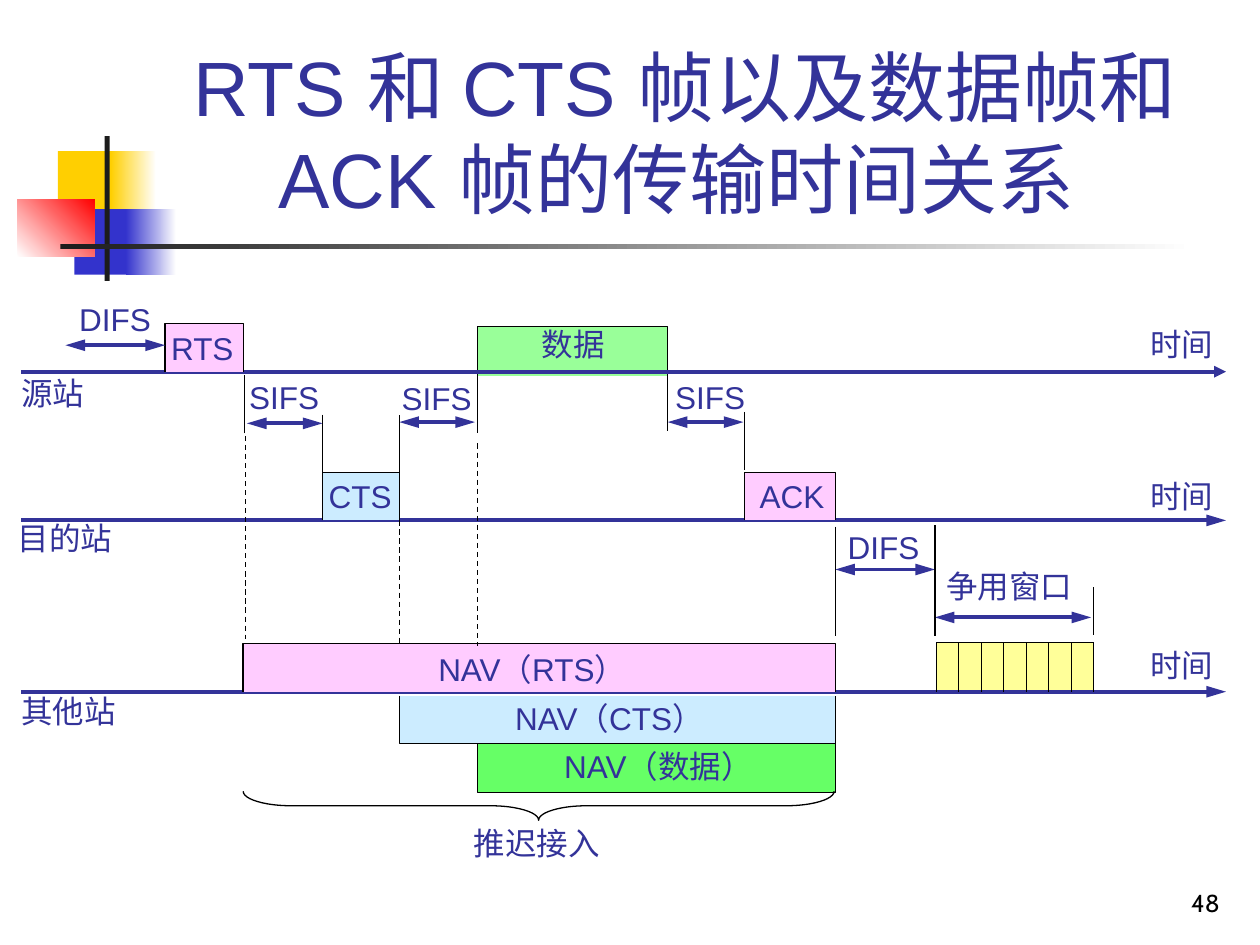
"""Build the slide on RTS, CTS, data and ACK frame timing."""
from pptx import Presentation
from pptx.dml.color import RGBColor
from pptx.enum.dml import MSO_LINE
from pptx.enum.shapes import MSO_CONNECTOR, MSO_SHAPE
from pptx.enum.text import MSO_ANCHOR, MSO_AUTO_SIZE, PP_ALIGN
from pptx.oxml.ns import qn
from pptx.util import Pt
from lxml.etree import SubElement

PX = 9144
THEME = {
    "ink": "333399", "black": "000000", "white": "FFFFFF", "dark": "1C1C1C",
    "gold": "FFCF01", "blue": "3333CC", "red": "FF0000", "pink": "FFCCFF",
    "sky": "CCECFF", "mint": "99FF99", "green": "66FF66", "yellow": "FFFF99",
    "font": "Arial", "number_font": "Cabin",
    "title": 44, "label": 18, "number": 14, "thin": 0.75, "thick": 2.25,
}
LEFT, CENTER, RIGHT = PP_ALIGN.LEFT, PP_ALIGN.CENTER, PP_ALIGN.RIGHT

TITLE = "RTS 和 CTS 帧以及数据帧和ACK 帧的传输时间关系 "
DECOR = [
    (46, 120, 48, 52, ["gold"], 0),
    (88, 120, 36, 52, ["gold", "white"], 0),
    (59, 166, 46, 52, ["blue"], 0),
    (100, 166, 40, 52, ["blue", "white"], 0),
    (14, 158, 61, 46, ["white", "red"], 45),
    (83, 108, 4, 115, ["dark"], 0),
    (48, 194, 900, 4, ["dark", "white"], 0),
]
AXES = [(295, "med"), (413, "lg"), (549, "lg")]
BACK_FRAMES = [
    (379, 590, 663, 629, "green"),
    (379, 298, 530, 259, "mint"),
]
FRAMES = [
    (131, 295, 193, 257, "pink"),
    (256, 413, 317, 375, "sky"),
    (591, 413, 663, 375, "pink"),
    (193, 549, 663, 511, "pink"),
    (317, 552, 663, 590, "sky"),
]
SPANS = [
    (52, 274, 131, 274), (196, 336, 256, 336), (317, 335, 377, 335),
    (530, 335, 590, 335), (663, 452, 742, 452), (742, 490, 866, 490),
]
GUIDES = [
    (194, 344, 194, 298), (256, 329, 256, 375), (317, 375, 317, 329),
    (379, 298, 379, 344), (530, 342, 530, 297), (591, 327, 591, 373),
    (663, 418, 663, 505), (742, 417, 742, 505), (868, 466, 868, 504),
]
DASHES = [(195, 346, 195, 507), (317, 413, 317, 513), (379, 352, 379, 513)]
WINDOW = (743, 510, 125, 39)
SLOTS = 7
BRACE = (416, 405, 23, 469)
LABELS = {
    LEFT: [
        ("时间", 903, 253, 72), ("时间", 903, 374, 72), ("时间", 903, 508, 72),
        ("DIFS", 53, 233, 80), ("RTS", 126, 256, 74), ("SIFS", 188, 295, 80),
        ("SIFS", 309, 296, 80), ("SIFS", 526, 295, 80), ("CTS", 251, 374, 74),
        ("DIFS", 663, 414, 80), ("争用窗口", 741, 445, 122),
        ("NAV（RTS）", 338, 511, 192), ("NAV（CTS）", 399, 550, 192),
        ("NAV（数据）", 438, 588, 180), ("推迟接入", 366, 649, 122),
    ],
    CENTER: [
        ("数据", 419, 253, 72), ("ACK", 589, 374, 79), ("源站", 6, 292, 72),
        ("目的站", 4, 407, 95), ("其他站", 4, 544, 101),
    ],
}


def color(name):
    return RGBColor.from_string(THEME[name])


def scaled(*values):
    return [round(value * PX) for value in values]


def apply(target, values):
    for name, value in values.items():
        setattr(target, name, value)


def outline(shape):
    shape.shadow.inherit = False
    shape.line.color.rgb = color("black")
    shape.line.width = Pt(THEME["thin"])


def add_block(page, x, y, width, height, fills, angle=0):
    block = page.shapes.add_shape(MSO_SHAPE.RECTANGLE, *scaled(x, y, width, height))
    block.shadow.inherit = False
    block.line.fill.background()
    if len(fills) == 1:
        block.fill.solid()
        block.fill.fore_color.rgb = color(fills[0])
        return
    block.fill.gradient()
    block.fill.gradient_angle = angle
    for place, (stop, name) in enumerate(zip(block.fill.gradient_stops, fills)):
        stop.position = place
        stop.color.rgb = color(name)


def add_path(page, points, fill=None):
    builder = page.shapes.build_freeform(*points[0], scale=PX)
    builder.add_line_segments(points[1:], close=False)
    shape = builder.convert_to_shape()
    outline(shape)
    if fill:
        shape.fill.solid()
        shape.fill.fore_color.rgb = color(fill)
    else:
        shape.fill.background()


def add_frame(page, left, base, right, edge, fill):
    add_path(page, [(left, base), (left, edge), (right, edge), (right, base)], fill)


def add_line(page, ends, ink="black", weight="thin", arrows=(), length="lg", dash=None):
    line = page.shapes.add_connector(MSO_CONNECTOR.STRAIGHT, *scaled(*ends))
    line.line.color.rgb = color(ink)
    apply(line.line, {"width": Pt(THEME[weight]), "dash_style": dash})
    properties = line._element.spPr
    for end in arrows:
        SubElement(properties.find(qn("a:ln")), qn(f"a:{end}"),
                   type="triangle", w="med", len=length)
    SubElement(properties, qn("a:effectLst"))


def add_text(page, text, place, align, size="label", font="font", ink="ink",
             anchor=MSO_ANCHOR.TOP, wrap=True, fit=MSO_AUTO_SIZE.NONE):
    box = page.shapes.add_textbox(*scaled(*place))
    apply(box.text_frame, {"word_wrap": wrap, "auto_size": fit, "vertical_anchor": anchor})
    para = box.text_frame.paragraphs[0]
    para.alignment = align
    span = para.add_run()
    span.text = text
    apply(span.font, {"name": THEME[font], "size": Pt(THEME[size])})
    span.font.color.rgb = color(ink)


def add_window(page):
    x, y, width, height = WINDOW
    add_path(page, [(x, y + height), (x, y), (x + width, y)])
    for slot in range(1, SLOTS + 1):
        edge = x + width * slot / SLOTS
        add_line(page, (edge, y, edge, y + height))


def add_brace(page):
    brace = page.shapes.add_shape(MSO_SHAPE.LEFT_BRACE, *scaled(*BRACE))
    outline(brace)
    brace.fill.background()
    brace.rotation = 270
    brace.adjustments[0] = 1.67


def main():
    deck = Presentation()
    apply(deck, {"slide_width": 1000 * PX, "slide_height": 750 * PX})
    page = deck.slides.add_slide(deck.slide_layouts[6])
    for block in DECOR:
        add_block(page, *block)
    add_block(page, *WINDOW, ["yellow"])
    add_text(page, TITLE, (100, 23, 888, 160), CENTER, "title", anchor=MSO_ANCHOR.BOTTOM)
    for frame in BACK_FRAMES:
        add_frame(page, *frame)
    for y, length in AXES:
        add_line(page, (17, y, 973, y), "ink", "thick", ["tailEnd"], length)
    for frame in FRAMES:
        add_frame(page, *frame)
    add_window(page)
    for ends in SPANS:
        add_line(page, ends, "ink", "thick", ["headEnd", "tailEnd"])
    for ends in GUIDES:
        add_line(page, ends)
    for ends in DASHES:
        add_line(page, ends, dash=MSO_LINE.DASH)
    add_brace(page)
    for align, labels in LABELS.items():
        for text, x, y, width in labels:
            add_text(page, text, (x, y, width, 40), align,
                     wrap=False, fit=MSO_AUTO_SIZE.SHAPE_TO_FIT_TEXT)
    add_text(page, "48", (770, 683, 208, 50), RIGHT, "number", "number_font", "black",
             MSO_ANCHOR.BOTTOM)
    deck.save("out.pptx")


if __name__ == "__main__":
    main()
